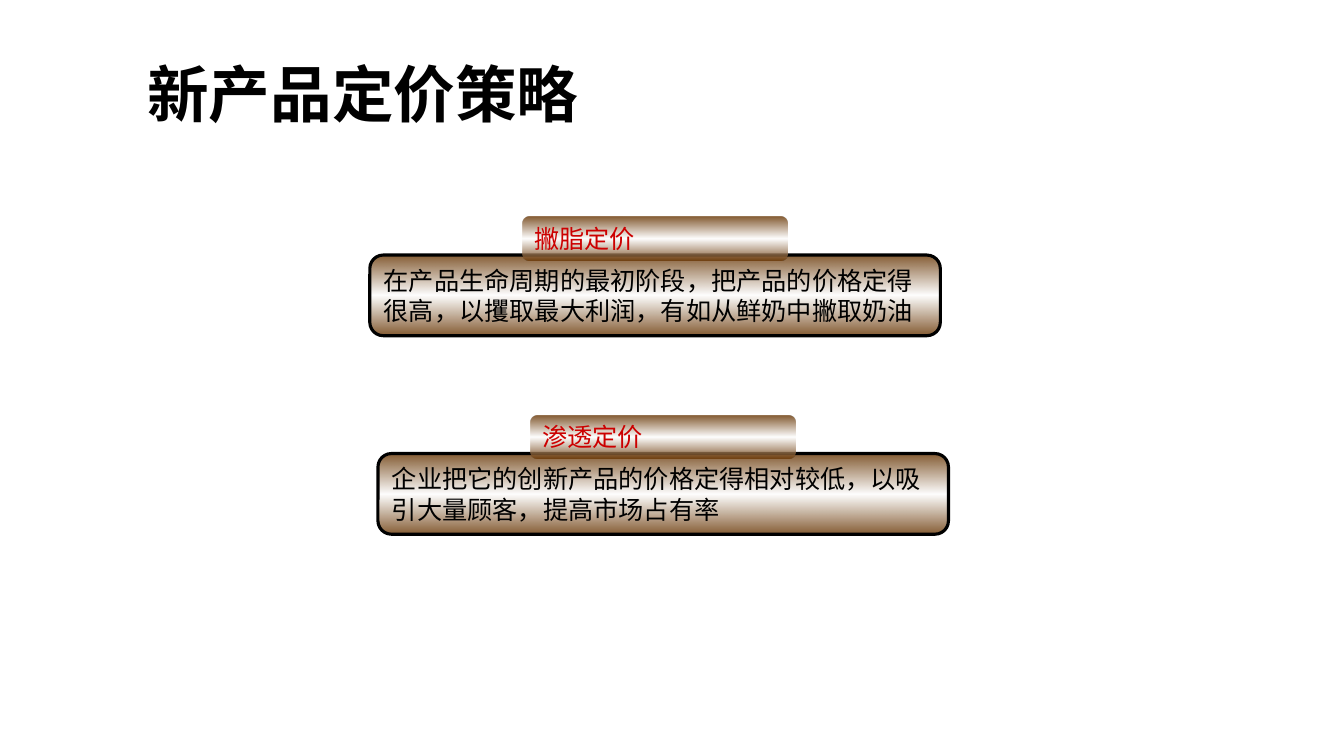
from lxml.etree import SubElement
from pptx import Presentation
from pptx.dml.color import RGBColor
from pptx.enum.shapes import MSO_SHAPE
from pptx.enum.text import MSO_ANCHOR, PP_ALIGN
from pptx.oxml import parse_xml
from pptx.oxml.ns import nsdecls, qn
from pptx.util import Pt

COLORS = {"ink": "000000", "label": "CC0000", "edge": "663300", "middle": "FFFFFF"}
TITLE_FONT = "Noto Sans CJK SC"
BODY_FONT = "Arial"
STRATEGIES = [
    (264.2, 154.8, "撇脂定价",
     "在产品生命周期的最初阶段，把产品的价格定得很高，以攫取最大利润，有如从鲜奶中撇取奶油"),
    (270, 296.6, "渗透定价",
     "企业把它的创新产品的价格定得相对较低，以吸引大量顾客，提高市场占有率"),
]


def write_text(frame, text, font, size, color, bold=False):
    """Fill a text frame with one left-aligned, vertically centred paragraph."""
    frame.word_wrap = True
    frame.vertical_anchor = MSO_ANCHOR.MIDDLE
    para = frame.paragraphs[0]
    para.alignment = PP_ALIGN.LEFT
    span = para.add_run()
    span.text = text
    span.font.name = font
    span.font.size = Pt(size)
    span.font.bold = bold
    span.font.color.rgb = RGBColor.from_string(COLORS[color])
    # East Asian characters take the same font
    SubElement(span.font._element, qn("a:ea"), typeface=font)


def fill_gradient(shape):
    """Vertical brown-white-brown gradient at 80% opacity."""
    stops = "".join(
        f'<a:gs pos="{place * 1000}"><a:srgbClr val="{COLORS[name]}">'
        f'<a:alpha val="80000"/></a:srgbClr></a:gs>'
        for place, name in ((0, "edge"), (50, "middle"), (100, "edge")))
    gradient = parse_xml(
        f'<a:gradFill {nsdecls("a")} rotWithShape="1"><a:gsLst>{stops}</a:gsLst>'
        f'<a:lin ang="5400000" scaled="1"/></a:gradFill>')
    shape._element.spPr.find(qn("a:prstGeom")).addnext(gradient)


def add_panel(group, left, top, width, height, text, color, outline=None):
    panel = group.shapes.add_shape(
        MSO_SHAPE.ROUNDED_RECTANGLE, Pt(left), Pt(top), Pt(width), Pt(height))
    panel.shadow.inherit = False
    fill_gradient(panel)
    if outline:
        panel.line.color.rgb = RGBColor.from_string(COLORS[outline])
        panel.line.width = Pt(2.25)
    else:
        panel.line.fill.background()
    write_text(panel.text_frame, text, BODY_FONT, 18, color)


def add_strategy(page, left, top, label, description):
    """A description box with its label tab overlapping the top edge."""
    group = page.shapes.add_group_shape()
    add_panel(group, left, top + 27.4, 407.5, 57.6, description, "ink", "ink")
    add_panel(group, left + 108.8, top, 189.4, 31, label, "label")


def add_title(page, left, top, width, height, text):
    title = page.shapes.title
    title.left, title.top = Pt(left), Pt(top)
    title.width, title.height = Pt(width), Pt(height)
    write_text(title.text_frame, text, TITLE_FONT, 44, "ink", bold=True)


def main():
    deck = Presentation()
    deck.slide_width, deck.slide_height = Pt(960), Pt(540)
    page = deck.slides.add_slide(deck.slide_layouts[5])
    add_title(page, 98, 21.6, 814.3, 90, "新产品定价策略")
    for strategy in STRATEGIES:
        add_strategy(page, *strategy)
    deck.save("out.pptx")


if __name__ == "__main__":
    main()
